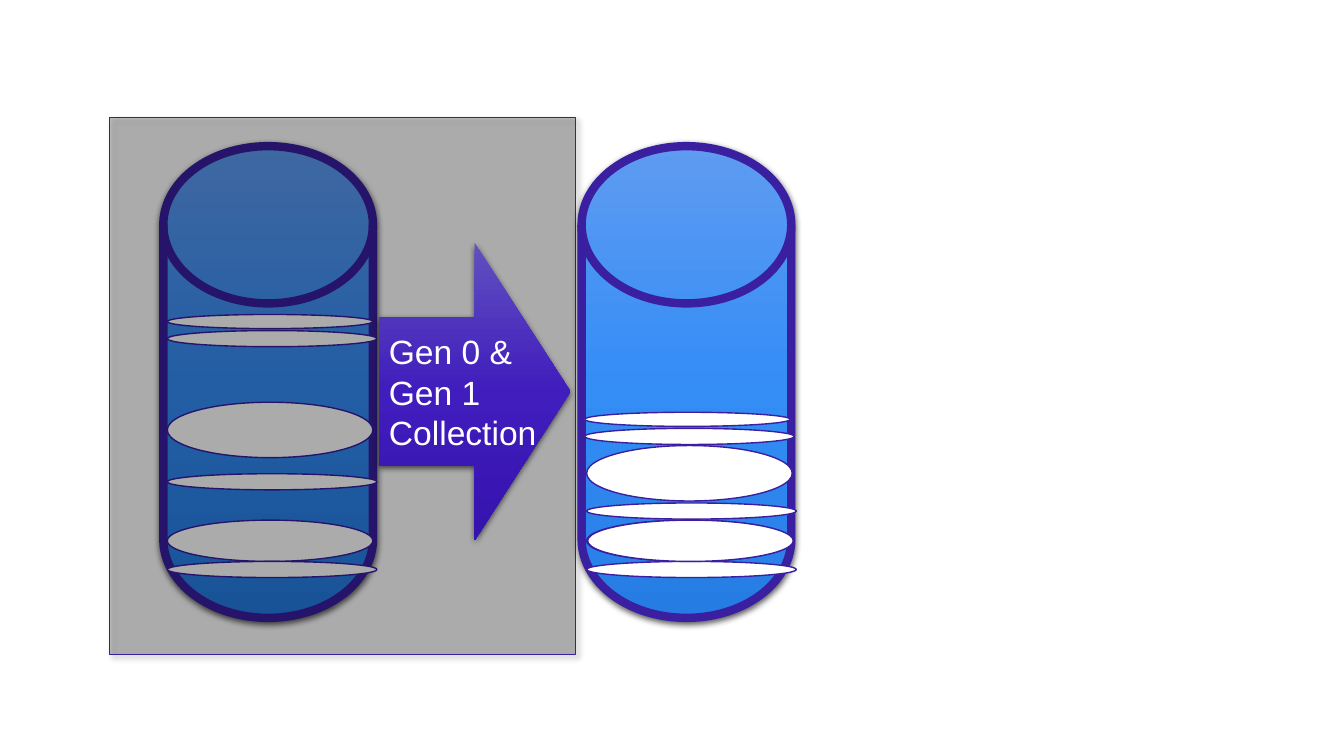
import pptx
import pptx.util
import pptx.dml.color
import pptx.enum.dml
import pptx.enum.shapes
import pptx.enum.text
import pptx.oxml
import pptx.oxml.ns

Pt = pptx.util.Pt
SHAPE = pptx.enum.shapes.MSO_SHAPE

COLORS = {
    "outline": "3A20A0",
    "slice": "FFFFFF",
    "hatch": "16054C",
    "veil": "000000",
    "shadow": "000000",
    "text": "FFFFFF",
}
DISK_GRADIENT = ("5E9BF1", "358DF6", "257DE4")
ARROW_GRADIENT = ("6050C0", "401DBC", "3513AE")

DISK_TOP, DISK_WIDTH, DISK_HEIGHT = 104.4, 149.76, 336.96
NARROW, WIDE = 146.88, 149.76

BEFORE_SLICES = [
    (119.52, 371.52, NARROW, 29.52),
    (119.52, 401.04, WIDE, 11.52),
    (119.52, 287.28, NARROW, 39.6),
    (119.52, 338.4, WIDE, 11.52),
    (119.52, 224.64, NARROW, 10.08),
    (119.52, 236.16, WIDE, 11.52),
]
HATCHED_SLICE = (419.04, 371.52, NARROW, 29.52)
AFTER_SLICES = [
    (419.04, 401.04, WIDE, 11.52),
    (419.04, 318.24, NARROW, 39.6),
    (419.04, 359.28, WIDE, 11.52),
    (417.6, 294.48, NARROW, 10.08),
    (419.76, 371.52, NARROW, 29.52),
    (417.6, 306, WIDE, 11.52),
]


def rgb(name):
    return pptx.dml.color.RGBColor.from_string(COLORS[name])


def parse_drawing(xml):
    return pptx.oxml.parse_xml(xml.replace(">", " " + pptx.oxml.ns.nsdecls("a") + ">", 1))


def add_shape(slide, kind, box, line_width=0):
    shape = slide.shapes.add_shape(kind, *(Pt(length) for length in box))
    shape.shadow.inherit = False
    if line_width:
        shape.line.color.rgb = rgb("outline")
        shape.line.width = Pt(line_width)
    else:
        shape.line.fill.background()
    return shape


def set_gradient(shape, colors):
    stops = "".join(
        f'<a:gs pos="{index * 50000}"><a:srgbClr val="{color}"/></a:gs>'
        for index, color in enumerate(colors)
    )
    shape.fill.gradient()
    properties = shape.element.spPr
    old_fill = properties.find(pptx.oxml.ns.qn("a:gradFill"))
    gradient = parse_drawing(
        f'<a:gradFill><a:gsLst>{stops}</a:gsLst><a:lin ang="5400000" scaled="0"/></a:gradFill>'
    )
    properties.replace(old_fill, gradient)


def set_shadow(shape, opacity, blur, distance, angle):
    effects = shape.element.spPr.find(pptx.oxml.ns.qn("a:effectLst"))
    effects.append(parse_drawing(
        f'<a:outerShdw blurRad="{Pt(blur)}" dist="{Pt(distance)}" dir="{angle * 60000}" '
        f'rotWithShape="0"><a:srgbClr val="{COLORS["shadow"]}">'
        f'<a:alpha val="{opacity * 1000}"/></a:srgbClr></a:outerShdw>'
    ))


def add_disk(slide, left):
    box = (left, DISK_TOP, DISK_WIDTH, DISK_HEIGHT)
    disk = add_shape(slide, SHAPE.FLOWCHART_MAGNETIC_DISK, box, 6)
    set_gradient(disk, DISK_GRADIENT)
    set_shadow(disk, 63, 4.5, 1.5, 90)


def add_slice(slide, box):
    ellipse = add_shape(slide, SHAPE.OVAL, box, 1)
    ellipse.fill.solid()
    ellipse.fill.fore_color.rgb = rgb("slice")


def add_hatched_slice(slide, box):
    ellipse = add_shape(slide, SHAPE.OVAL, box, 1)
    ellipse.fill.patterned()
    ellipse.fill.pattern = pptx.enum.dml.MSO_PATTERN.DARK_DOWNWARD_DIAGONAL
    ellipse.fill.fore_color.rgb = rgb("hatch")
    ellipse.fill.back_color.rgb = rgb("slice")


def add_veil(slide, box):
    veil = add_shape(slide, SHAPE.RECTANGLE, box, 0.75)
    veil.fill.solid()
    veil.fill.fore_color.rgb = rgb("veil")
    color = veil.element.spPr.find(pptx.oxml.ns.qn("a:solidFill"))[0]
    color.append(parse_drawing('<a:alpha val="25000"></a:alpha>'))
    set_shadow(veil, 40, 4, 3, 45)


def add_arrow(slide, box, text):
    arrow = add_shape(slide, SHAPE.RIGHT_ARROW, box)
    set_gradient(arrow, ARROW_GRADIENT)
    set_shadow(arrow, 63, 4.5, 1.5, 90)
    frame = arrow.text_frame
    frame.word_wrap = False
    frame.vertical_anchor = pptx.enum.text.MSO_ANCHOR.MIDDLE
    paragraph = frame.paragraphs[0]
    paragraph.text = text
    paragraph.alignment = pptx.enum.text.PP_ALIGN.LEFT
    paragraph.font.size = Pt(24)
    paragraph.font.name = "Arial"
    paragraph.font.color.rgb = rgb("text")


def main():
    presentation = pptx.Presentation()
    presentation.slide_width = Pt(960)
    presentation.slide_height = Pt(540)
    slide = presentation.slides.add_slide(presentation.slide_layouts[6])

    add_disk(slide, 116.64)
    for box in BEFORE_SLICES:
        add_slice(slide, box)
    add_veil(slide, (78.48, 84.24, 332.64, 383.04))
    add_arrow(slide, (270.72, 173.52, 136.8, 212.4), "Gen 0 & \vGen 1 \vCollection")

    add_disk(slide, 415.44)
    add_hatched_slice(slide, HATCHED_SLICE)
    for box in AFTER_SLICES:
        add_slice(slide, box)

    presentation.save("out.pptx")


if __name__ == "__main__":
    main()
